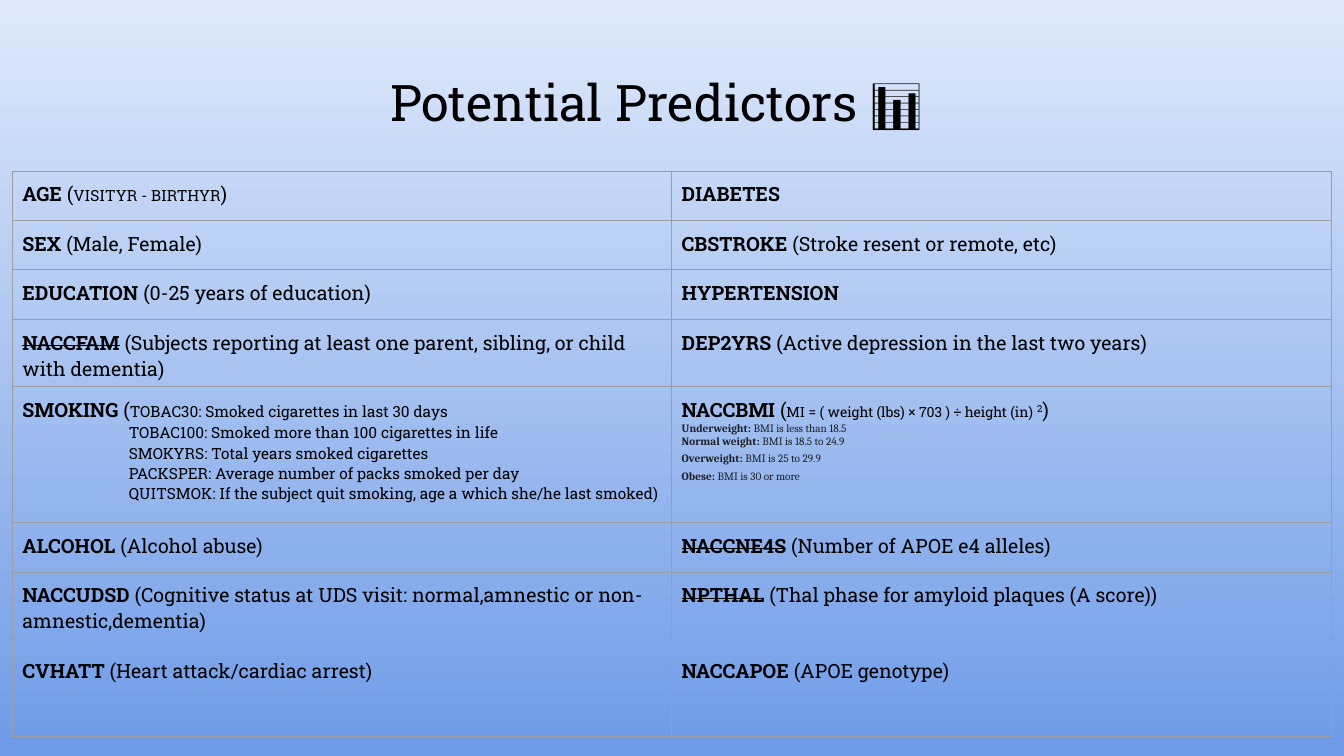
from dataclasses import dataclass, field

from lxml.etree import SubElement
from pptx import Presentation
from pptx.dml.color import RGBColor
from pptx.enum.text import MSO_ANCHOR, PP_ALIGN
from pptx.oxml.ns import qn
from pptx.util import Pt


@dataclass(frozen=True)
class Theme:
    background_top: str = "DFE9FB"
    background_bottom: str = "6E9BE7"
    border: str = "9E9E9E"
    border_width: float = 0.75
    text: str = "000000"
    note_text: str = "1E1E23"
    font: str = "Roboto Slab"
    note_font: str = "Cambria"
    sizes: dict = field(default_factory=lambda: {
        "title": 36, "name": 14, "dropped": 14, "body": 14, "detail": 11,
        "formula": 10, "gap": 12, "power": 12, "note": 8, "note_name": 8,
    })
    bold_styles: tuple = ("name", "dropped", "note_name")
    run_marks: dict = field(default_factory=lambda: {
        "dropped": {"strike": "sngStrike"}, "power": {"baseline": "30000"},
    })


THEME = Theme()
DETAIL_INDENT = 76
ROW_HEIGHTS = (35.3, 35.3, 35.3, 42.5, 97.2, 35.3, 54, 63.4)


def predictor(name, description="", style="name"):
    runs = [(name, style)]
    if description:
        runs.append((f" ({description})", "body"))
    return [(runs, {})]


def bmi_class(name, description, line_spacing):
    runs = [(f"{name}:", "note_name"), (f" {description}", "note")]
    return runs, {"line_spacing": line_spacing}


AGE = [([("AGE", "name"), (" (", "body"), ("VISITYR - BIRTHYR", "detail"), (")", "body")], {})]

SMOKING = [
    ([("SMOKING ", "name"), ("(", "body"),
      ("TOBAC30: Smoked cigarettes in last 30 days", "detail")], {}),
] + [
    ([(line, "detail")], {"indent": DETAIL_INDENT})
    for line in (
        "TOBAC100: Smoked more than 100 cigarettes in life",
        "SMOKYRS: Total years smoked cigarettes",
        "PACKSPER: Average number of packs smoked per day",
        "QUITSMOK: If the subject quit smoking, age a which she/he last smoked)",
    )
]

BMI = [
    ([("NACCBMI", "name"), (" (", "body"),
      ("MI = ( weight (lbs) × 703 ) ÷ height (in)", "formula"),
      (" ", "gap"), ("2", "power"), (")", "body")], {}),
    bmi_class("Underweight", "BMI is less than 18.5", 1.0),
    bmi_class("Normal weight", "BMI is 18.5 to 24.9", 1.0),
    bmi_class("Overweight", "BMI is 25 to 29.9", 1.33),
    bmi_class("Obese", "BMI is 30 or more", 1.33),
]

PREDICTORS = [
    (AGE, predictor("DIABETES")),
    (predictor("SEX", "Male, Female"),
     predictor("CBSTROKE", "Stroke resent or remote, etc")),
    (predictor("EDUCATION", "0-25 years of education"), predictor("HYPERTENSION")),
    (predictor("NACCFAM", "Subjects reporting at least one parent, sibling, or child with dementia", "dropped"),
     predictor("DEP2YRS", "Active depression in the last two years")),
    (SMOKING, BMI),
    (predictor("ALCOHOL", "Alcohol abuse"),
     predictor("NACCNE4S", "Number of APOE e4 alleles", "dropped")),
    (predictor("NACCUDSD", "Cognitive status at UDS visit: normal,amnestic or non-amnestic,dementia"),
     predictor("NPTHAL", "Thal phase for amyloid plaques (A score)", "dropped")),
    (predictor("CVHATT", "Heart attack/cardiac arrest"),
     predictor("NACCAPOE", "APOE genotype")),
]


def apply_format(target, values):
    for name, value in values.items():
        setattr(target, name, value)


def add_run(paragraph, text, style):
    is_note = style.startswith("note")
    run = paragraph.add_run()
    run.text = text
    apply_format(run.font, {
        "name": THEME.note_font if is_note else THEME.font,
        "size": Pt(THEME.sizes[style]),
        "bold": style in THEME.bold_styles,
    })
    run.font.color.rgb = RGBColor.from_string(THEME.note_text if is_note else THEME.text)
    for name, value in THEME.run_marks.get(style, {}).items():
        run._r.get_or_add_rPr().set(name, value)


def fill_text(text_frame, paragraphs):
    for index, (runs, values) in enumerate(paragraphs):
        paragraph = text_frame.add_paragraph() if index else text_frame.paragraphs[0]
        values = dict(values)
        indent = values.pop("indent", 0)
        if indent:
            paragraph._p.get_or_add_pPr().set("marL", str(Pt(indent)))
        apply_format(paragraph, values)
        for text, style in runs:
            add_run(paragraph, text, style)


def draw_borders(cell):
    properties = cell._tc.get_or_add_tcPr()
    for side in ("lnL", "lnR", "lnT", "lnB"):
        line = SubElement(properties, qn(f"a:{side}"), w=str(Pt(THEME.border_width)))
        fill = SubElement(line, qn("a:solidFill"))
        SubElement(fill, qn("a:srgbClr"), val=THEME.border)


def paint_background(slide):
    fill = slide.background.fill
    fill.gradient()
    fill.gradient_angle = 270
    for stop, color in zip(fill.gradient_stops, (THEME.background_top, THEME.background_bottom)):
        stop.color.rgb = RGBColor.from_string(color)


def add_title(slide, left, top, width, height):
    text_frame = slide.shapes.add_textbox(Pt(left), Pt(top), Pt(width), Pt(height)).text_frame
    apply_format(text_frame, {
        "word_wrap": True, "vertical_anchor": MSO_ANCHOR.TOP,
        "margin_left": Pt(3.6), "margin_right": Pt(3.6),
        "margin_top": Pt(45), "margin_bottom": Pt(3.6),
    })
    fill_text(text_frame, [
        ([("Potential Predictors 📊", "title")],
         {"alignment": PP_ALIGN.CENTER, "line_spacing": 0.9}),
    ])


def add_predictor_table(slide, left, top, width):
    columns = len(PREDICTORS[0])
    table = slide.shapes.add_table(
        len(PREDICTORS), columns, Pt(left), Pt(top), Pt(width), Pt(sum(ROW_HEIGHTS))
    ).table
    apply_format(table, {"first_row": False, "horz_banding": False})
    for column in table.columns:
        column.width = Pt(width / columns)
    for row, height, contents in zip(table.rows, ROW_HEIGHTS, PREDICTORS):
        row.height = Pt(height)
        for cell, paragraphs in zip(row.cells, contents):
            apply_format(cell, {
                f"margin_{side}": Pt(7.2) for side in ("left", "right", "top", "bottom")
            })
            draw_borders(cell)
            cell.fill.background()
            fill_text(cell.text_frame, paragraphs)


def main():
    presentation = Presentation()
    apply_format(presentation, {"slide_width": Pt(960), "slide_height": Pt(540)})
    slide = presentation.slides.add_slide(presentation.slide_layouts[6])
    paint_background(slide)
    add_title(slide, 48, 11, 841, 510)
    add_predictor_table(slide, 8.8, 122.2, 942)
    presentation.save("out.pptx")


if __name__ == "__main__":
    main()
